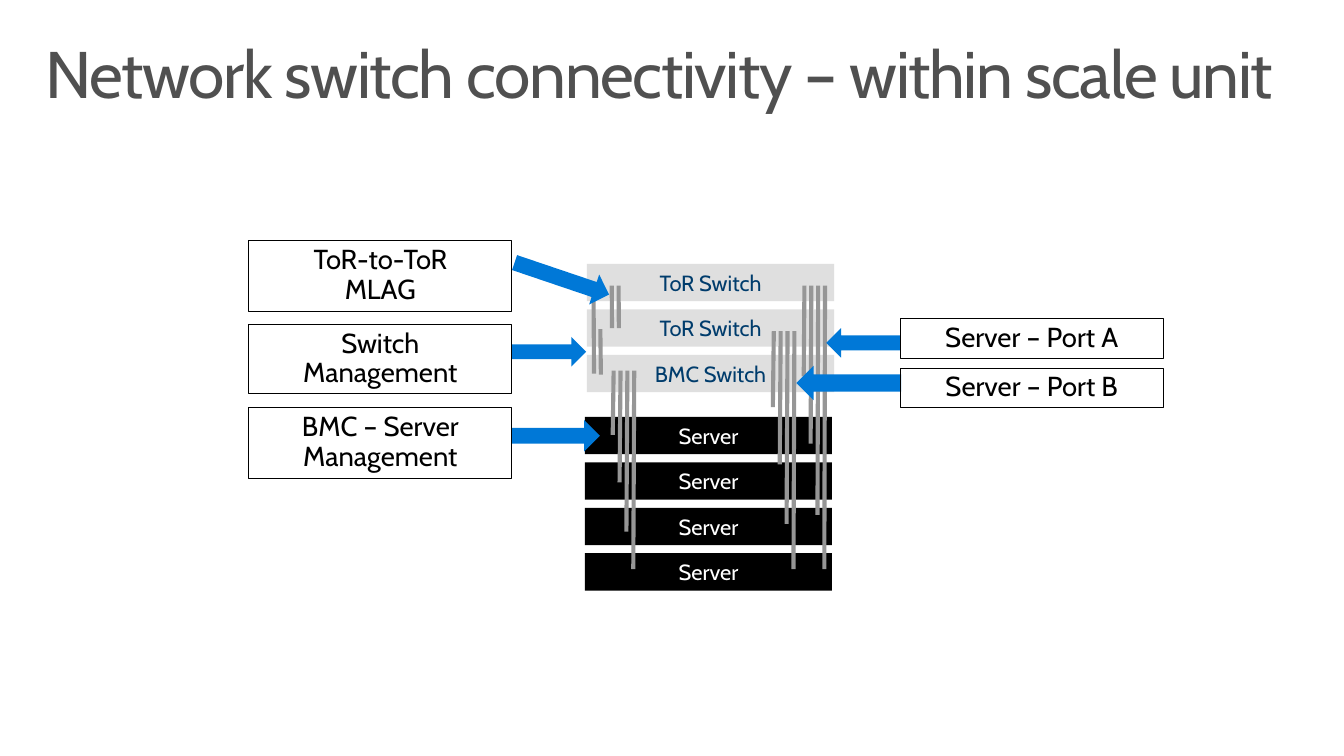
from lxml import etree
from pptx import Presentation
from pptx.dml.color import RGBColor
from pptx.enum.shapes import MSO_CONNECTOR as Connector, MSO_SHAPE as Shape
from pptx.enum.text import MSO_ANCHOR as Anchor, PP_ALIGN as Align
from pptx.oxml.ns import qn
from pptx.util import Pt

FONT = "Cabin"
TITLE_GRAY = RGBColor(0x50, 0x50, 0x50)
SWITCH_GRAY = RGBColor(0xDF, 0xDF, 0xDF)
CABLE_GRAY = RGBColor(0x96, 0x96, 0x96)
NAVY = RGBColor(0x00, 0x3C, 0x6C)
BLUE = RGBColor(0x00, 0x78, 0xD7)
BLACK = RGBColor(0, 0, 0)
WHITE = RGBColor(0xFF, 0xFF, 0xFF)

# Content
TITLE = "Network switch connectivity – within scale unit"

# Racks: left, top, fill, text colour, unit labels
RACKS = [
    (427.7, 192.3, SWITCH_GRAY, NAVY, ["ToR Switch", "ToR Switch", "BMC Switch"]),
    (426.2, 303.8, BLACK, WHITE, ["Server"] * 4),
]
UNIT_WIDTH, UNIT_HEIGHT, UNIT_PITCH = 180, 27.2, 33.1

# Cable bundles: first x, drift to the lower end, top and bottom of each cable
CABLE_STEP = 5
CABLES = [
    (432.4, 0.4, [(208.1, 272.2), (239.8, 272.9)]),                            # management
    (445.7, 0.2, [(208.1, 239)] * 2),                                          # MLAG
    (447.1, -0.7, [(270, end) for end in (316.8, 351.4, 387.4, 414.7)]),       # BMC
    (563.8, -0.7, [(241.2, end) for end in (296.6, 338.4, 381.6, 414.7)]),     # port B
    (586.1, -0.5, [(208.1, end) for end in (274.3, 323.3, 375.1, 414.7)]),     # port A
]

# Callouts: lines, box (left, top, height), arrow (left, top, width, height, rotation)
LEFT, RIGHT, CALLOUT_WIDTH = 181.4, 656, 191.5
CALLOUTS = [
    (["BMC – Server Management"], (LEFT, 296.6, 51.8), (373, 306, 64.1, 23, 0)),
    (["Switch Management"], (LEFT, 236.6, 50), (373, 245.5, 54, 21.6, 0)),
    (["Server – Port A"], (RIGHT, 232.2, 28.8), (602, 239, 54, 21.6, 180)),
    (["Server – Port B"], (RIGHT, 268.2, 28.4), (580.2, 266.4, 76.3, 25.2, 180)),
    (["ToR-to-ToR", "MLAG"], (LEFT, 175, 51.8), (373, 191.5, 72.7, 23, 18.7)),
]

deck = Presentation()
deck.slide_width, deck.slide_height = Pt(979.2), Pt(550.8)
slide = deck.slides.add_slide(deck.slide_layouts[6])


def write(frame, lines, size, color, align, spacing, inset_x, inset_y):
    frame.word_wrap = True
    frame.margin_left = frame.margin_right = Pt(inset_x)
    frame.margin_top = frame.margin_bottom = Pt(inset_y)
    for i, line in enumerate(lines):
        paragraph = frame.paragraphs[0] if i == 0 else frame.add_paragraph()
        paragraph.text = line
        paragraph.alignment = align
        paragraph.line_spacing = spacing
        paragraph.font.size = Pt(size)
        paragraph.font.name = FONT
        paragraph.font.color.rgb = color


def add_block(kind, left, top, width, height, fill=None, outline=None):
    block = slide.shapes.add_shape(kind, Pt(left), Pt(top), Pt(width), Pt(height))
    block.shadow.inherit = False
    if fill is None:
        block.fill.background()
    else:
        block.fill.solid()
        block.fill.fore_color.rgb = fill
    if outline is None:
        block.line.fill.background()
    else:
        block.line.color.rgb = outline
        block.line.width = Pt(0.75)
    block.text_frame.vertical_anchor = Anchor.MIDDLE
    return block


# Title
title = slide.shapes.add_textbox(Pt(21.6), Pt(23), Pt(936), Pt(72))
write(title.text_frame, [TITLE], 48, TITLE_GRAY, Align.LEFT, 0.9, 11.5, 7.2)
title_run = title.text_frame.paragraphs[0].runs[0]
title_run.font._element.set("spc", "-100")

# Switches and servers
for left, top, fill, color, labels in RACKS:
    for row, label in enumerate(labels):
        unit = add_block(Shape.RECTANGLE, left, top + row * UNIT_PITCH,
                         UNIT_WIDTH, UNIT_HEIGHT, fill)
        write(unit.text_frame, [label], 16, color, Align.CENTER, 1.0, 14.4, 0)

# Cables
for first_x, drift, spans in CABLES:
    for i, (top, bottom) in enumerate(spans):
        x = first_x + i * CABLE_STEP
        cable = slide.shapes.add_connector(Connector.STRAIGHT, Pt(x), Pt(top),
                                           Pt(x + drift), Pt(bottom))
        cable.line.color.rgb = CABLE_GRAY
        cable.line.width = Pt(3)
        etree.SubElement(cable._element.spPr, qn("a:effectLst"))

# Callouts and their arrows
for lines, (left, top, height), (*arrow_box, rotation) in CALLOUTS:
    arrow = add_block(Shape.RIGHT_ARROW, *arrow_box, BLUE)
    arrow.rotation = rotation
    callout = add_block(Shape.RECTANGLE, left, top, CALLOUT_WIDTH, height, outline=BLACK)
    write(callout.text_frame, lines, 20, BLACK, Align.CENTER, 0.9, 14.4, 11.5)

deck.save("out.pptx")
